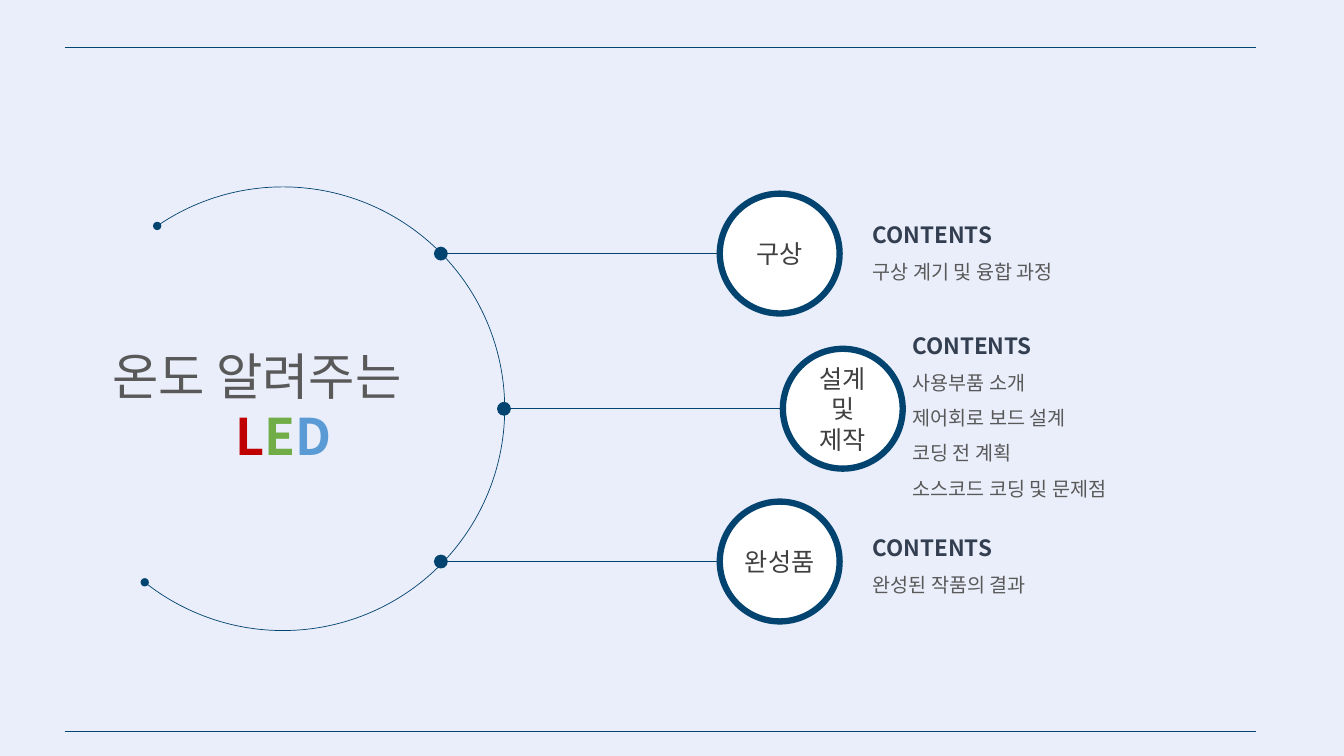
from lxml.etree import SubElement
from pptx import Presentation
from pptx.dml.color import RGBColor
from pptx.enum.shapes import MSO_CONNECTOR, MSO_SHAPE
from pptx.enum.text import MSO_ANCHOR, MSO_AUTO_SIZE, PP_ALIGN
from pptx.oxml.ns import qn
from pptx.util import Cm, Pt

# Content: branch start x, y, label lines, list placeholder, list box, list lines
TITLE = "온도 알려주는"
LED = [("L", "C00000"), ("E", "70AD47"), ("D", "5B9BD5")]
BRANCHES = [
    (11.11, 6.39, ["구상"], 1, (21.74, 5.11, 7.04, 2.06),
     ["CONTENTS", "구상 계기 및 융합 과정"]),
    (12.7, 10.3, ["설계 및", "제작"], 2, (22.74, 7.9, 9.25, 4.75),
     ["CONTENTS", "사용부품 소개", "제어회로 보드 설계", "코딩 전 계획",
      "소스코드 코딩 및 문제점"]),
    (11.11, 14.15, ["완성품"], 3, (21.74, 13, 9.25, 2.06),
     ["CONTENTS", "완성된 작품의 결과"]),
]

# Style
FONT = "Noto Sans CJK KR"
NAVY, WHITE, PALE = "03436F", "FFFFFF", "EAEEFA"
HEADING, GREY, DARK = "333F50", "595959", "404040"
BRANCH_LENGTH, CIRCLE = 7.03, 3.02


def color(value):
    return RGBColor.from_string(value)


def style_run(run, size, value, bold=False):
    run.font.size, run.font.bold, run.font.name = Pt(size), bold, FONT
    run.font.color.rgb = color(value)
    SubElement(run.font._element, qn("a:ea"), typeface=FONT)


def style_line(shape, width, ends=(), end_size="med"):
    shape.line.color.rgb = color(NAVY)
    shape.line.width = Pt(width)
    for end in ends:
        SubElement(shape.line._get_or_add_ln(), qn(f"a:{end}"),
                   type="oval", w=end_size, len=end_size)


def add_line(left, right, y, ends=()):
    line = slide.shapes.add_connector(
        MSO_CONNECTOR.STRAIGHT, Cm(left), Cm(y), Cm(right), Cm(y))
    style_line(line, 0.5, ends, "lg")
    SubElement(line._element.spPr, qn("a:effectLst"))


def place(shape, box):
    shape.left, shape.top, shape.width, shape.height = map(Cm, box)
    frame = shape.text_frame
    frame.auto_size = MSO_AUTO_SIZE.NONE
    frame.word_wrap = True
    frame.vertical_anchor = MSO_ANCHOR.TOP
    return frame


presentation = Presentation()
presentation.slide_width, presentation.slide_height = Cm(33.87), Cm(19.05)
slide = presentation.slides.add_slide(
    presentation.slide_layouts.get_by_name("Comparison"))
slide.background.fill.solid()
slide.background.fill.fore_color.rgb = color(PALE)

# Frame lines
for y in (1.19, 18.44):
    add_line(1.63, 31.64, y)

# Large open arc; angles in degrees become 60000ths, scaled by 100000
arc = slide.shapes.add_shape(
    MSO_SHAPE.ARC, Cm(1.54), Cm(4.71), Cm(11.18), Cm(11.18))
arc.shadow.inherit = False
arc.fill.background()
for index, degrees in enumerate((235.48, 128.52)):
    arc.adjustments[index] = degrees * 0.6
style_line(arc, 0.5, ("headEnd", "tailEnd"))

# Title and coloured LED
title = slide.shapes.title
frame = place(title, (2.57, 7.8, 9.09, 2.26))
frame.text = TITLE
paragraph = frame.paragraphs[0]
paragraph.alignment, paragraph.line_spacing = PP_ALIGN.LEFT, 1.5
style_run(paragraph.runs[0], 36, GREY)

led_box = slide.shapes.add_textbox(0, 0, 0, 0)
paragraph = place(led_box, (5.68, 10.08, 4.88, 1.8)).paragraphs[0]
for letter, value in LED:
    run = paragraph.add_run()
    run.text = letter
    style_run(run, 36, value, True)

# Branches: line, labelled circle, list
for start, y, label, placeholder, box, lines in BRANCHES:
    end = start + BRANCH_LENGTH
    add_line(start, end, y, ("headEnd",))
    circle = slide.shapes.add_shape(
        MSO_SHAPE.OVAL, Cm(end), Cm(y - CIRCLE / 2), Cm(CIRCLE), Cm(CIRCLE))
    circle.shadow.inherit = False
    circle.fill.solid()
    circle.fill.fore_color.rgb = color(WHITE)
    style_line(circle, 4.5)
    frame = circle.text_frame
    frame.text = "\n".join(label)
    frame.word_wrap = len(label) > 1
    frame.vertical_anchor = MSO_ANCHOR.MIDDLE
    for paragraph in frame.paragraphs:
        paragraph.alignment = PP_ALIGN.CENTER
        style_run(paragraph.runs[0], 18, DARK)

    frame = place(slide.placeholders[placeholder], box)
    frame.text = "\n".join(lines)
    for number, paragraph in enumerate(frame.paragraphs):
        properties = paragraph._p.get_or_add_pPr()
        properties.set("marL", "0")
        properties.set("indent", "0")
        SubElement(properties, qn("a:buNone"))
        paragraph.line_spacing, paragraph.space_before = 1.5, Pt(0)
        is_heading = number == 0
        style_run(paragraph.runs[0], 16 if is_heading else 14,
                  HEADING if is_heading else GREY, is_heading)

# The fourth list placeholder is not needed
spare = slide.placeholders[4]._element
spare.getparent().remove(spare)

presentation.save("out.pptx")
